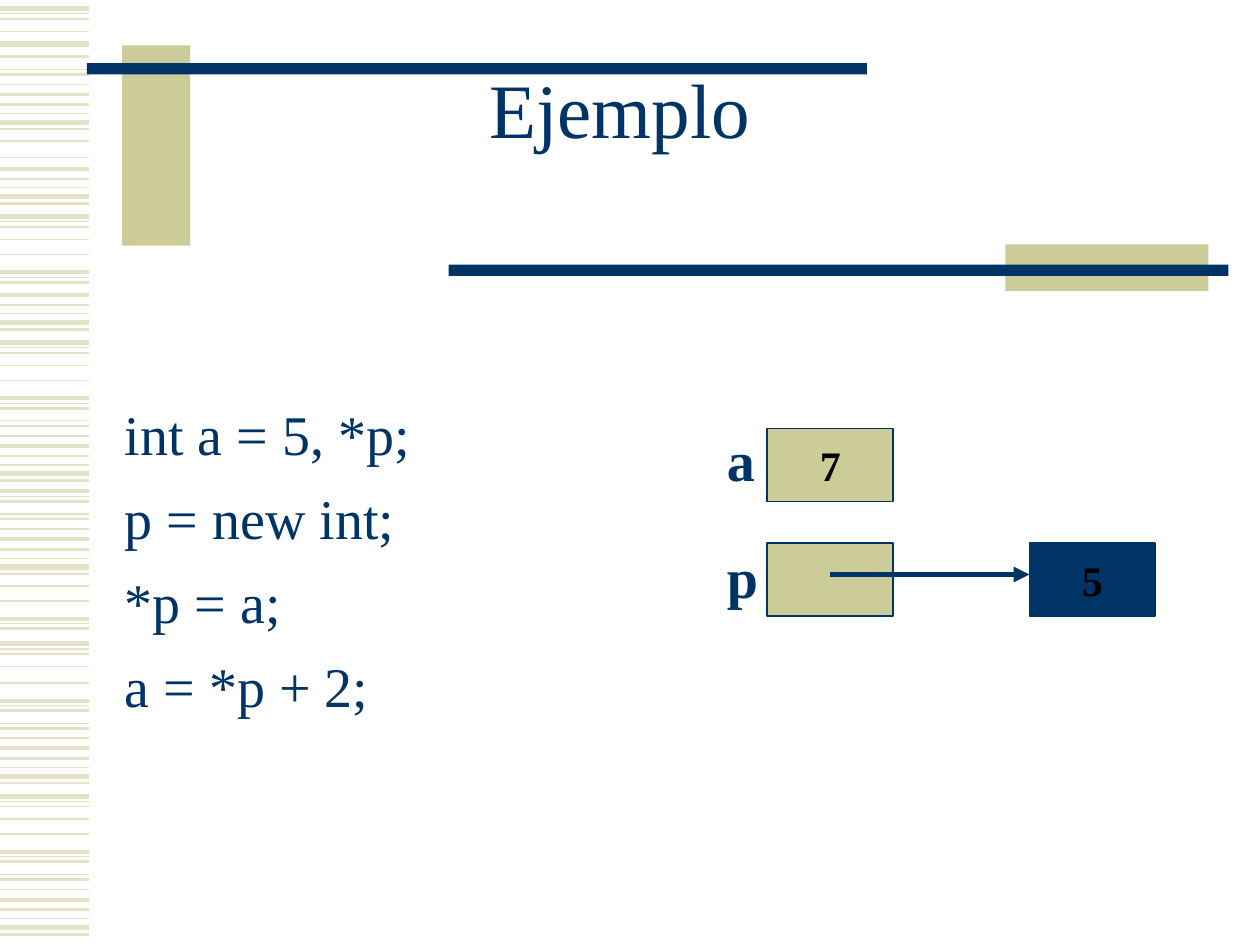
from lxml import etree
from pptx import Presentation
from pptx.dml.color import RGBColor
from pptx.enum.shapes import MSO_CONNECTOR, MSO_SHAPE
from pptx.enum.text import MSO_ANCHOR, MSO_AUTO_SIZE, PP_ALIGN
from pptx.oxml.ns import qn
from pptx.util import Inches, Pt

RECT, STRAIGHT = MSO_SHAPE.RECTANGLE, MSO_CONNECTOR.STRAIGHT
MIDDLE, TOP = MSO_ANCHOR.MIDDLE, MSO_ANCHOR.TOP
CENTER, LEFT, NO_FIT = PP_ALIGN.CENTER, PP_ALIGN.LEFT, MSO_AUTO_SIZE.NONE
FONT = "Times New Roman"
COLORS = {name: RGBColor.from_string(value) for name, value in {
    "navy": "003366", "sand": "CCCC99", "stripe": "E3E2C7", "black": "000000",
}.items()}

prs = Presentation()
prs.slide_width, prs.slide_height = Inches(10), Inches(7.5)
U = prs.slide_width // 100  # square grid: 100 columns by 75 rows
s = prs.slides.add_slide(prs.slide_layouts[1])


def add_line(x1, y1, x2, y2, color, weight):
    line = s.shapes.add_connector(STRAIGHT, *(round(v * U) for v in (x1, y1, x2, y2)))
    line.line.color.rgb = COLORS[color]
    line.line.width = Pt(weight)
    etree.SubElement(line._element.spPr, qn("a:effectLst"))
    return line


def write(sp, text, size, color, bold=False, align=LEFT, anchor=TOP):
    tf = sp.text_frame
    tf.text = text
    tf.auto_size, tf.vertical_anchor = NO_FIT, anchor
    for p in tf.paragraphs:
        p.alignment = align
        for r in p.runs:
            r.font.name, r.font.size, r.font.bold = FONT, Pt(size), bold
            r.font.color.rgb = COLORS[color]
    return tf


# Striped left margin: each motif is (offset, weight) lines, repeated at its starts
motifs = [
    ([(0, 3), (0.4, 0.75), (0.8, 1), (1.8, 1)], [0.7, 17.2, 27.2, 51.1, 63.2]),
    ([(0, 2.25), (0.4, 0.75), (0.8, 1.5)], [21.6, 31.6, 39, 49.1, 55.6, 67.6]),
    ([(0, 0.75), (0.4, 1.5), (1.2, 1)], [5.5, 33.4, 40.8, 57.4, 69.4]),
    ([(0, 2.25), (0.8, 1.5), (1.5, 0.75), (2.2, 3), (2.75, 1.5)],
     [7.5, 13.4, 23.4, 35.4, 42.8, 59.4, 71.4]),
    ([(0, 1)], [11.2, 12.5, 20.2, 30.2, 46.5, 47.7, 54.2, 66.2]),
    ([(0, 3), (1, 1.5)], [3.5]),
]
for stripes, starts in motifs:
    for start in starts:
        for offset, weight in stripes:
            add_line(0, start + offset, 7.1, start + offset, "stripe", weight)

# Decorative bars, then the memory cells: left, top, width, height, fill, value
bars = [
    (9.7, 3.6, 5.4, 15.9, "sand", None), (6.9, 5, 61.9, 0.9, "navy", None),
    (79.8, 19.4, 16.1, 3.7, "sand", None), (35.6, 21, 61.9, 0.9, "navy", None),
]
cells = [
    (60.9, 34, 10, 5.8, "sand", "7"), (60.9, 43.1, 10, 5.8, "sand", ""),
    (81.7, 43.1, 10, 5.8, "navy", "5"),
]
for *box, fill, value in bars + cells:
    sp = s.shapes.add_shape(RECT, *(round(v * U) for v in box))
    sp.shadow.inherit = False
    sp.fill.solid()
    sp.fill.fore_color.rgb = COLORS[fill]
    if value is None:
        sp.line.fill.background()
    else:
        sp.line.color.rgb = COLORS["navy"]
        sp.line.width = Pt(1)
    if value:
        write(sp, value, 24, "black", True, CENTER, MIDDLE).word_wrap = False

# Variable names beside their cells
for name, top in [("a", 33.3), ("p", 42.6)]:
    sp = s.shapes.add_textbox(*(round(v * U) for v in (56.7, top, 4.3, 6.4)))
    write(sp, name, 32, "navy", True).word_wrap = False

# Pointer from p to the new integer
pointer = add_line(65.9, 45.6, 81.7, 45.6, "navy", 3)
etree.SubElement(pointer.line._get_or_add_ln(), qn("a:tailEnd"), type="triangle")

title, body = s.placeholders
for sp, box in [(title, (6.7, 2.5, 85, 13.3)), (body, (8.9, 31.2, 87, 35.4))]:
    sp.left, sp.top, sp.width, sp.height = (round(v * U) for v in box)
write(title, "Ejemplo", 44, "navy", align=CENTER, anchor=MIDDLE)
title.text_frame.paragraphs[0].line_spacing = 0.85

code = ["int a = 5, *p;", "p = new int;", "*p = a;", "a = *p + 2;"]
tf = write(body, "\n".join(code), 32, "navy")
for i, p in enumerate(tf.paragraphs):
    pPr = p._p.get_or_add_pPr()
    pPr.set("marL", str(round(3.8 * U)))
    pPr.set("indent", str(round(-3.8 * U)))
    etree.SubElement(pPr, qn("a:buNone"))
    p.space_before = Pt(9.6 if i else 0)

prs.save("out.pptx")
